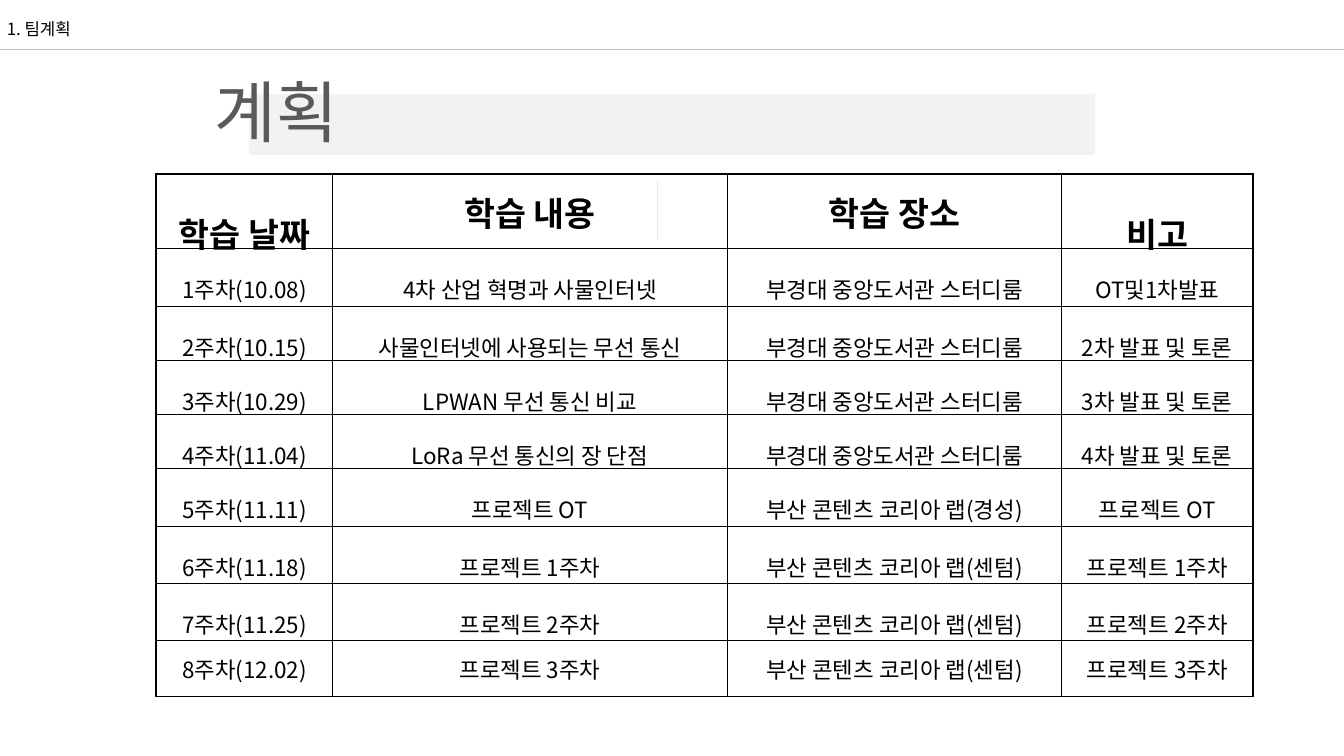
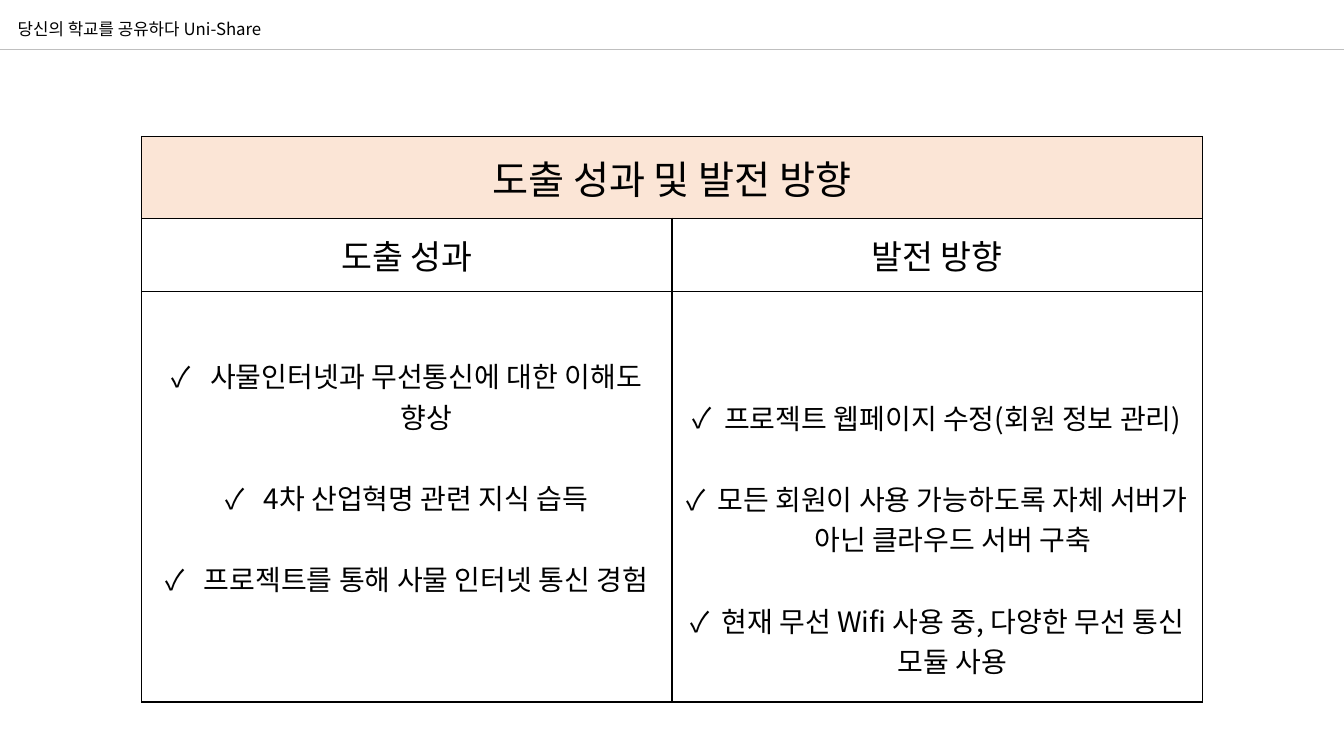
from dataclasses import dataclass
from lxml.etree import SubElement
from pptx import Presentation
from pptx.dml.color import RGBColor
from pptx.enum.shapes import MSO_CONNECTOR as Connector, MSO_SHAPE as Shape
from pptx.enum.text import MSO_ANCHOR as Anchor, PP_ALIGN as Align
from pptx.oxml.ns import qn
from pptx.util import Inches, Pt

COLORS = {
    "text": "000000",
    "title": "595959",
    "band": "F2F2F2",
    "rule": "BFBFBF",
    "accent": "DEEBF7",
    "heading": "FBE5D6",
}
FONT = "Noto Sans CJK KR"
LIBRARY = "부경대 중앙도서관 스터디룸"
LAB = "부산 콘텐츠 코리아 랩"
PLAN_HEADINGS = ["학습 날짜", "학습 내용", "학습 장소", "비고"]
PLAN_WEEKS = [
    ("10.08", "4차 산업 혁명과 사물인터넷", LIBRARY, "OT및1차발표"),
    ("10.15", "사물인터넷에 사용되는 무선 통신", LIBRARY, "2차 발표 및 토론"),
    ("10.29", "LPWAN 무선 통신 비교", LIBRARY, "3차 발표 및 토론"),
    ("11.04", "LoRa 무선 통신의 장 단점", LIBRARY, "4차 발표 및 토론"),
    ("11.11", "프로젝트 OT", f"{LAB}(경성)", "프로젝트 OT"),
    ("11.18", "프로젝트 1주차", f"{LAB}(센텀)", "프로젝트 1주차"),
    ("11.25", "프로젝트 2주차", f"{LAB}(센텀)", "프로젝트 2주차"),
    ("12.02", "프로젝트 3주차", f"{LAB}(센텀)", "프로젝트 3주차"),
]
RESULTS = [
    "사물인터넷과 무선통신에 대한 이해도 향상",
    "4차 산업혁명 관련 지식 습득",
    "프로젝트를 통해 사물 인터넷 통신 경험",
]
DIRECTIONS = [
    "프로젝트 웹페이지 수정(회원 정보 관리)",
    "모든 회원이 사용 가능하도록 자체 서버가 아닌 클라우드 서버 구축",
    "현재 무선 Wifi 사용 중, 다양한 무선 통신 모듈 사용",
]


@dataclass
class Box:
    left: int
    top: int
    width: int
    height: int

    def inside(self, left, top, width, height):
        return Box(
            int(self.left + self.width * left / 100),
            int(self.top + self.height * top / 100),
            int(self.width * width / 100),
            int(self.height * height / 100),
        )

    def frame(self):
        return self.left, self.top, self.width, self.height


PAGE = Box(0, 0, Inches(13.33), Inches(7.5))


def color(name):
    return RGBColor.from_string(COLORS[name])


def write(frame, texts, size=16, ink="text", bold=False, align=Align.LEFT,
          spacing=None, gap=0, bullet=None, indent=0):
    frame.word_wrap = True
    for index, text in enumerate(texts):
        paragraph = frame.add_paragraph() if index else frame.paragraphs[0]
        paragraph.alignment = align
        if spacing:
            paragraph.line_spacing = spacing
        if index and gap:
            paragraph.space_before = Pt(gap)
        if bullet:
            properties = paragraph._p.get_or_add_pPr()
            properties.set("marL", str(Inches(indent)))
            properties.set("indent", str(-Inches(indent)))
            SubElement(properties, qn("a:buFont"), typeface=FONT)
            SubElement(properties, qn("a:buChar"), char=bullet)
        run = paragraph.add_run()
        run.text = text
        font = run.font
        font.size, font.bold, font.name = Pt(size), bold, FONT
        font.color.rgb = color(ink)
        SubElement(font._element, qn("a:ea"), typeface=FONT)


def add_text(slide, box, text, **style):
    shape = slide.shapes.add_textbox(*box.frame())
    write(shape.text_frame, [text], **style)


def add_line(slide, box, ink):
    line = slide.shapes.add_connector(
        Connector.STRAIGHT, box.left, box.top,
        box.left + box.width, box.top + box.height)
    line.line.color.rgb = color(ink)
    line.line.width = Pt(0.5)
    SubElement(line._element.spPr, qn("a:effectLst"))


def add_grid(slide, box, columns, rows, inner, outer):
    shape = slide.shapes.add_table(len(rows), len(columns), *box.frame())
    table = shape.table
    table.first_row = table.horz_banding = False
    for column, share in zip(table.columns, columns):
        column.width = int(box.width * share / sum(columns))
    for row, share in zip(table.rows, rows):
        row.height = int(box.height * share / sum(rows))
    for r in range(len(rows)):
        for c in range(len(columns)):
            cell = table.cell(r, c)
            cell.vertical_anchor = Anchor.MIDDLE
            edges = {"L": c == 0, "R": c == len(columns) - 1,
                     "T": r == 0, "B": r == len(rows) - 1}
            properties = cell._tc.get_or_add_tcPr()
            for side, outside in edges.items():
                width = outer if outside else inner
                border = SubElement(properties, qn(f"a:ln{side}"), w=str(Pt(width)))
                fill = SubElement(border, qn("a:solidFill"))
                SubElement(fill, qn("a:srgbClr"), val=COLORS["text"])
            cell.fill.background()
    return table


def add_header(slide, box, text, align):
    add_text(slide, box.inside(-0.23, 28.57, 21.23, 61.22), text, size=12, align=align)
    add_line(slide, box.inside(0, 100, 100, 0), "rule")


def add_title(slide, box, text):
    band = slide.shapes.add_shape(Shape.RECTANGLE, *box.inside(5.18, 30.77, 98.7, 67.03).frame())
    band.shadow.inherit = False
    band.fill.solid()
    band.fill.fore_color.rgb = color("band")
    band.line.fill.background()
    add_text(slide, box, text, size=48, ink="title")


def add_plan(slide, box):
    add_line(slide, box.inside(45.73, 1.35, 0, 11.37), "accent")
    heights = [0.73, 0.57, 0.54, 0.54, 0.54, 0.57, 0.57, 0.57, 0.56]
    table = add_grid(slide, box, [1.75, 3.92, 3.32, 1.9], heights, 0.56, 1.41)
    for c, heading in enumerate(PLAN_HEADINGS):
        write(table.cell(0, c).text_frame, [heading], size=24, bold=True,
              align=Align.CENTER, spacing=1.6 if c in (0, 3) else None)
    for week, (date, *details) in enumerate(PLAN_WEEKS, 1):
        spacing = 1.6 if week < len(PLAN_WEEKS) else None
        for c, text in enumerate([f"{week}주차({date})", *details]):
            write(table.cell(week, c).text_frame, [text], align=Align.CENTER, spacing=spacing)


def add_outcomes(slide, box):
    table = add_grid(slide, box, [1, 1], [0.81, 0.73, 4.07], 1, 1)
    heading = table.cell(0, 0)
    heading.merge(table.cell(0, 1))
    heading.fill.solid()
    heading.fill.fore_color.rgb = color("heading")
    write(heading.text_frame, ["도출 성과 및 발전 방향"], size=28, align=Align.CENTER)
    table.cell(2, 0).margin_bottom = Inches(0.44)
    table.cell(2, 1).margin_top = Inches(0.83)
    table.cell(2, 1).margin_bottom = 0
    parts = [("도출 성과", RESULTS, 0.38), ("발전 방향", DIRECTIONS, 0.31)]
    for c, (subject, items, indent) in enumerate(parts):
        write(table.cell(1, c).text_frame, [subject], size=24, align=Align.CENTER)
        write(table.cell(2, c).text_frame, items, size=20, align=Align.CENTER,
              gap=29, bullet="✓", indent=indent)


def add_page(presentation, header, align):
    slide = presentation.slides.add_slide(presentation.slide_layouts[6])
    add_header(slide, PAGE.inside(0, 0, 100, 6.53), header, align)
    return slide


def main():
    presentation = Presentation()
    presentation.slide_width, presentation.slide_height = PAGE.width, PAGE.height
    plan = add_page(presentation, "1. 팀계획", Align.LEFT)
    add_title(plan, PAGE.inside(15.23, 8.67, 63.77, 12.13), "계획")
    add_plan(plan, PAGE.inside(11.63, 23.03, 81.6, 68.97))
    outcomes = add_page(presentation, "당신의 학교를 공유하다 Uni-Share", Align.CENTER)
    add_outcomes(outcomes, PAGE.inside(10.55, 18.05, 78.9, 74.8))
    presentation.save("out.pptx")


if __name__ == "__main__":
    main()
